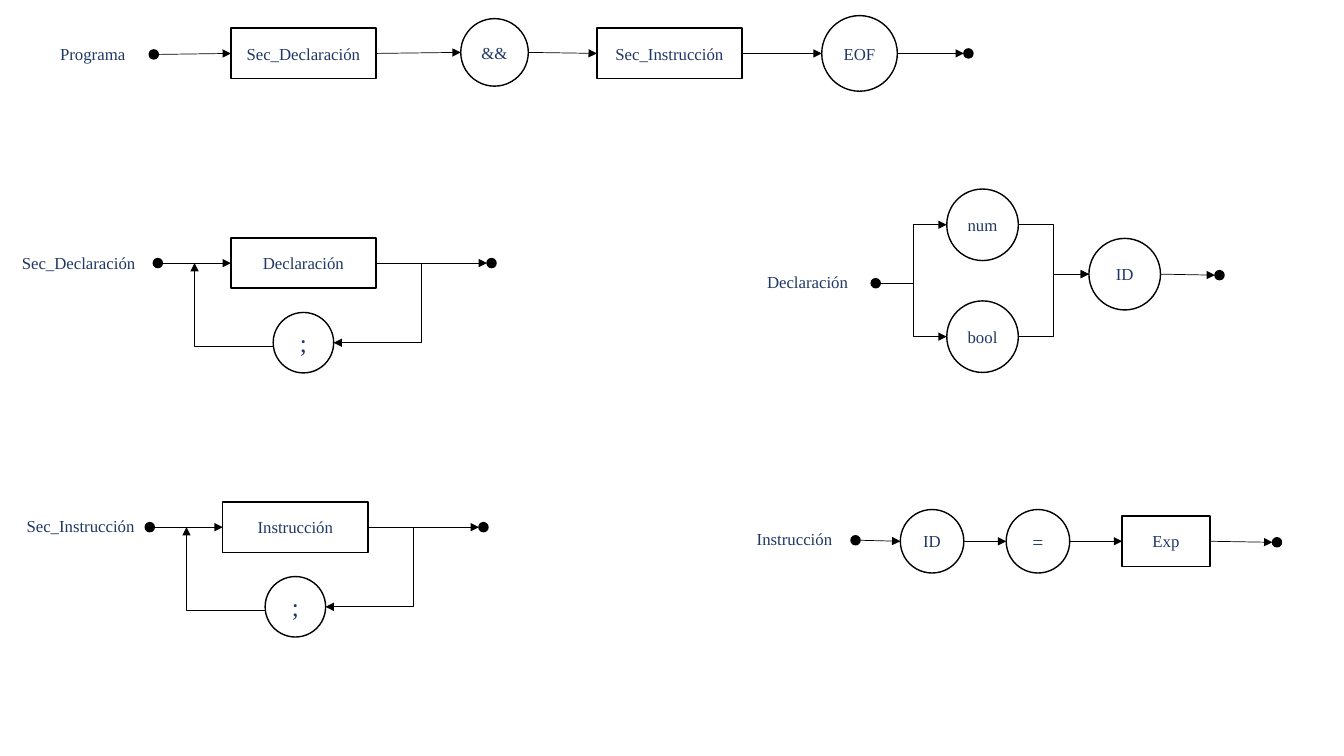
from dataclasses import dataclass
from lxml import etree
from pptx import Presentation
from pptx import util as u
from pptx.dml.color import RGBColor
from pptx.enum import shapes, text
from pptx.oxml import ns

RECT = shapes.MSO_SHAPE.RECTANGLE
CIRCLE = shapes.MSO_SHAPE.FLOWCHART_CONNECTOR


@dataclass(frozen=True)
class Theme:
    font: str = "Times New Roman"
    ink: RGBColor = RGBColor(0x20, 0x38, 0x64)
    line: RGBColor = RGBColor(0, 0, 0)
    paper: RGBColor = RGBColor(255, 255, 255)
    body: int = 12
    equals: int = 14
    separator: int = 18
    outline: float = 1
    arrow: float = 0.5


def right(sp, drop=0):
    return sp.left + sp.width, sp.top + sp.height // 2 + u.Inches(drop)


def left(sp, drop=0):
    return sp.left, sp.top + sp.height // 2 + u.Inches(drop)


class SyntaxDiagram:
    def __init__(self, slide, theme):
        self.s = slide
        self.theme = theme

    def set_text(self, tf, words, size):
        tf.word_wrap = True
        p = tf.paragraphs[0]
        p.text = words
        p.alignment = text.PP_ALIGN.CENTER
        p.font.name = self.theme.font
        p.font.size = u.Pt(size)
        p.font.color.rgb = self.theme.ink

    def label(self, words, x, y, w=1.38):
        sp = self.s.shapes.add_textbox(u.Inches(x), u.Inches(y), u.Inches(w), u.Inches(0.3))
        self.set_text(sp.text_frame, words, self.theme.body)
        sp.text_frame.auto_size = text.MSO_AUTO_SIZE.SHAPE_TO_FIT_TEXT

    def shape(self, kind, x, middle, w, h, fill):
        sp = self.s.shapes.add_shape(
            kind, u.Inches(x), u.Inches(middle - h / 2), u.Inches(w), u.Inches(h))
        sp.shadow.inherit = False
        sp.fill.solid()
        sp.fill.fore_color.rgb = fill
        sp.line.color.rgb = self.theme.line
        sp.line.width = u.Pt(self.theme.outline)
        return sp

    def dot(self, x, middle):
        return self.shape(CIRCLE, x, middle, 0.09, 0.09, self.theme.line)

    def node(self, kind, words, x, middle, w, h, size):
        sp = self.shape(kind, x, middle, w, h, self.theme.paper)
        tf = sp.text_frame
        tf.margin_left = tf.margin_right = tf.margin_top = tf.margin_bottom = 0
        tf.vertical_anchor = text.MSO_ANCHOR.MIDDLE
        self.set_text(tf, words, size or self.theme.body)
        return sp

    def rule(self, words, x, middle, w=1.44):
        return self.node(RECT, words, x, middle, w, 0.5, None)

    def token(self, words, x, middle, d, size=None):
        return self.node(CIRCLE, words, x, middle, d, d, size)

    def connector(self, kind, start, end):
        c = self.s.shapes.add_connector(kind, *start, *end)
        c.line.color.rgb = self.theme.line
        c.line.width = u.Pt(self.theme.arrow)
        props = c.element.spPr
        etree.SubElement(props.find(ns.qn("a:ln")), ns.qn("a:tailEnd"), type="triangle")
        etree.SubElement(props, ns.qn("a:effectLst"))
        return c

    def arrow(self, a, b):
        c = self.connector(shapes.MSO_CONNECTOR.STRAIGHT, right(a), left(b))
        if a.auto_shape_type == RECT:
            c.begin_connect(a, 3)
        if b.auto_shape_type == RECT:
            c.end_connect(b, 1)

    def chain(self, *stops):
        for a, b in zip(stops, stops[1:]):
            self.arrow(a, b)

    def bend(self, start, end, preset="bentConnector3", adjust=None):
        c = self.connector(shapes.MSO_CONNECTOR.ELBOW, start, end)
        geometry = c.element.spPr.find(ns.qn("a:prstGeom"))
        geometry.set("prst", preset)
        if adjust is not None:
            etree.SubElement(geometry.find(ns.qn("a:avLst")), ns.qn("a:gd"),
                             name="adj1", fmla=f"val {adjust}")

    def repeated(self, words, x, y):
        self.chain(self.dot(x - 0.77, y), self.rule(words, x, y), self.dot(x + 2.54, y))
        semicolon = self.token(";", x + 0.42, y + 0.79, 0.6, self.theme.separator)
        self.bend((u.Inches(x + 1.86), u.Inches(y)), right(semicolon), adjust=-3100)
        self.bend(left(semicolon, 0.04), (u.Inches(x - 0.36), u.Inches(y)), "bentConnector2")


def main():
    prs = Presentation()
    prs.slide_width, prs.slide_height = u.Inches(13.33), u.Inches(7.5)
    theme = Theme()
    d = SyntaxDiagram(prs.slides.add_slide(prs.slide_layouts[6]), theme)

    d.label("Programa", 0.45, 0.38, 0.94)
    d.chain(d.dot(1.48, 0.54), d.rule("Sec_Declaración", 2.29, 0.53),
            d.token("&&", 4.57, 0.52, 0.67), d.rule("Sec_Instrucción", 5.92, 0.53),
            d.token("EOF", 8.15, 0.53, 0.75), d.dot(9.56, 0.53))

    d.label("Sec_Declaración", 0.09, 2.46)
    d.repeated("Declaración", 2.29, 2.61)

    d.label("Declaración", 7.32, 2.65)
    start = d.dot(8.64, 2.81)
    name = d.token("ID", 10.8, 2.72, 0.71)
    for words, middle in (("num", 2.23), ("bool", 3.34)):
        kind = d.token(words, 9.39, middle, 0.71)
        d.bend(right(start), left(kind))
        d.bend(right(kind), left(name))
    d.arrow(name, d.dot(12.05, 2.73))

    d.label("Sec_Instrucción", 0.11, 5.07)
    d.repeated("Instrucción", 2.21, 5.23)

    d.label("Instrucción", 7.19, 5.2)
    d.chain(d.dot(8.44, 5.36), d.token("ID", 8.93, 5.37, 0.63),
            d.token("=", 9.98, 5.37, 0.63, theme.equals),
            d.rule("Exp", 11.13, 5.37, 0.87), d.dot(12.62, 5.38))

    prs.save("out.pptx")


if __name__ == "__main__":
    main()
